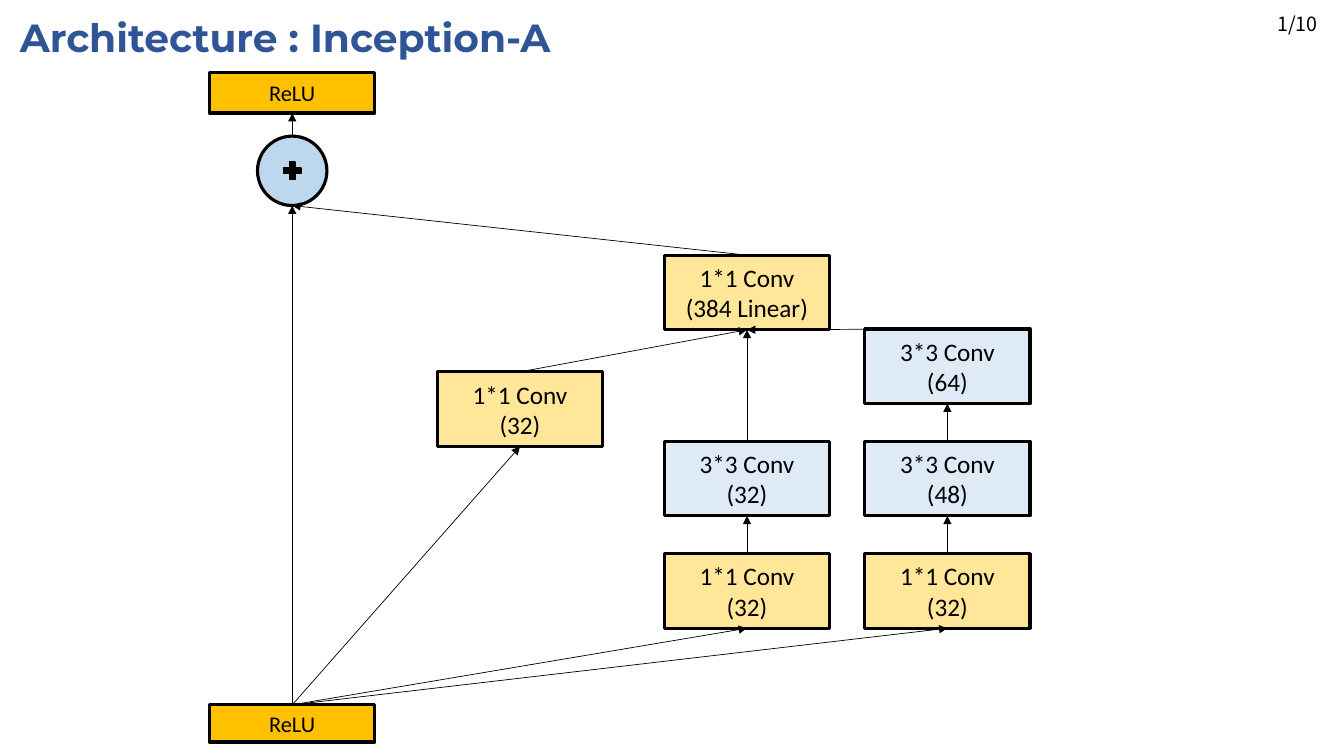
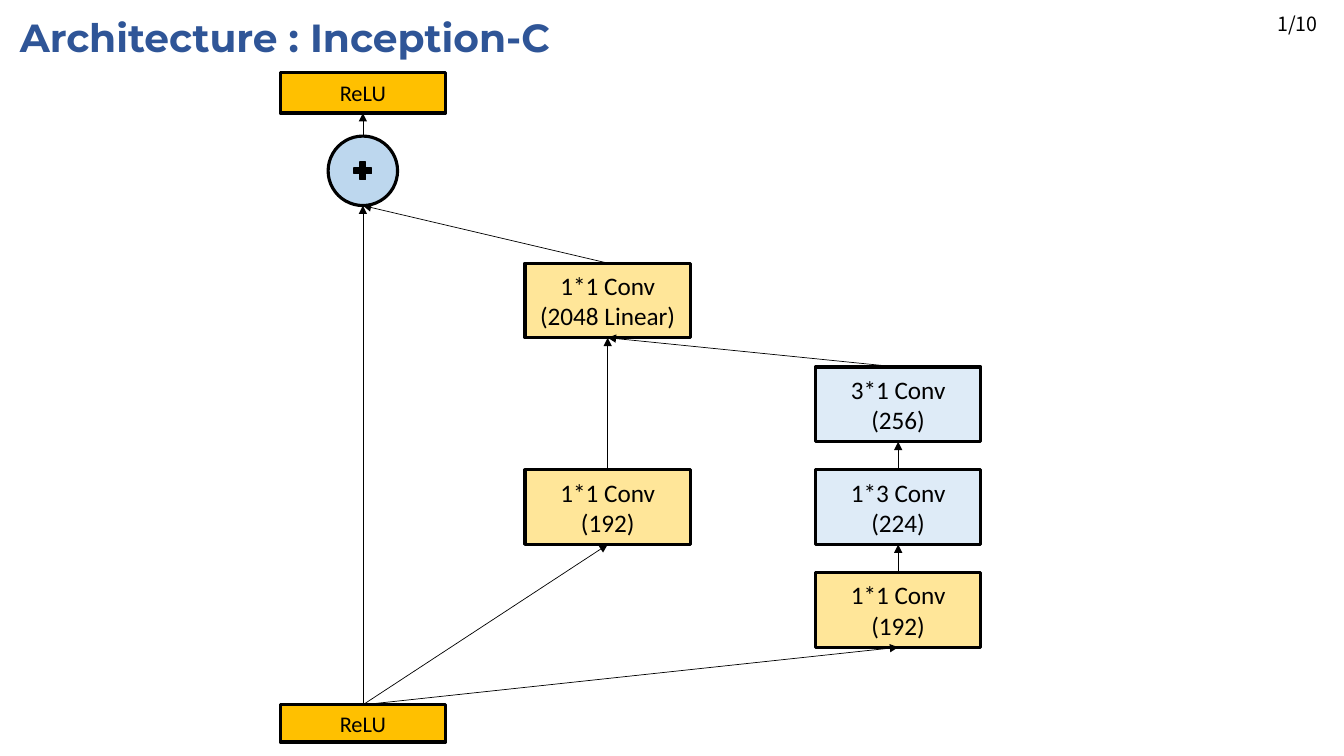
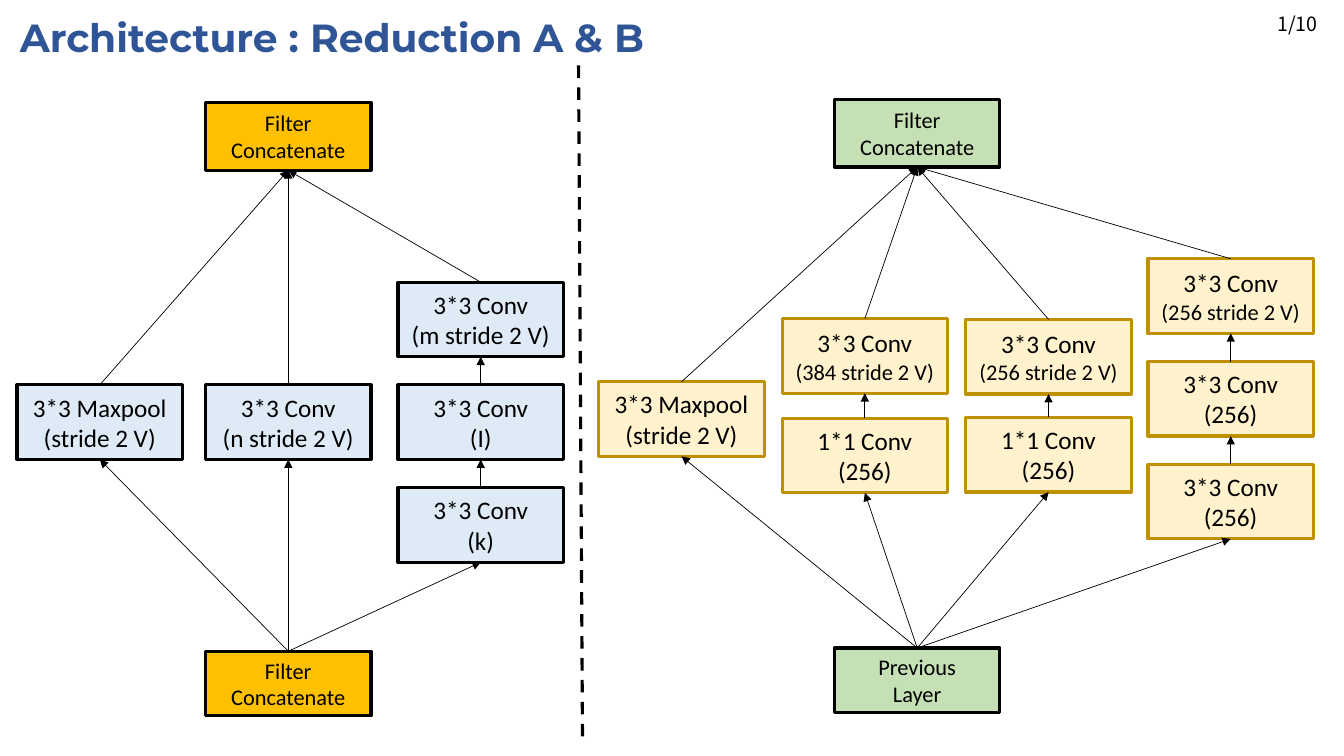
from dataclasses import dataclass
from itertools import pairwise

from lxml.etree import SubElement
from pptx import Presentation
from pptx.dml.color import RGBColor
from pptx.enum.dml import MSO_LINE_DASH_STYLE as Dash
from pptx.enum.shapes import MSO_CONNECTOR as Link, MSO_SHAPE as Preset
from pptx.enum.text import MSO_ANCHOR as Anchor, MSO_AUTO_SIZE as AutoSize, PP_ALIGN as Align
from pptx.oxml.ns import qn
from pptx.util import Cm, Pt


@dataclass(frozen=True)
class Theme:
    """Colours, fonts, type sizes, line weights and the common block size."""
    title: str = "2F5597"
    ink: str = "000000"
    amber: str = "FFC000"
    yellow: str = "FFE699"
    cream: str = "FFF2CC"
    gold: str = "BF9000"
    pale_blue: str = "DEEBF7"
    sky: str = "BDD7EE"
    green: str = "C5E0B4"
    title_font: str = "Montserrat"
    page_font: str = "Noto Sans CJK KR"
    block_font: str = "Calibri"
    title_size: int = 28
    page_size: int = 14
    block_size: int = 18
    small_size: int = 16
    outline: float = 2.25
    thin: float = 0.5
    block_width: float = 4.17
    block_height: float = 1.88
    long_label: int = 14


@dataclass(frozen=True)
class Box:
    """A region in centimetres."""
    left: float
    top: float
    width: float
    height: float

    def inner(self, x, y, width, height):
        """Return a box placed relative to this one."""
        return Box(self.left + x, self.top + y, width, height)

    def lengths(self):
        """Return the region as slide lengths."""
        return [Cm(v) for v in (self.left, self.top, self.width, self.height)]


@dataclass(frozen=True)
class Branch:
    """A column of blocks listed from the bottom up; y is the lowest block's top."""
    x: float
    y: float
    labels: tuple
    pitch: float = 2.59


THEME = Theme()
PAGE = Box(0, 0, 33.87, 19.05)


def assign(target, values):
    """Set each named attribute on the target."""
    for name, value in values.items():
        setattr(target, name, value)


def write(frame, lines, font, sizes, color, bold=False, **paragraph_format):
    """Write one paragraph per line in the given type."""
    for index, (line, size) in enumerate(zip(lines, sizes)):
        paragraph = frame.paragraphs[0] if index == 0 else frame.add_paragraph()
        assign(paragraph, paragraph_format)
        run = paragraph.add_run()
        run.text = line
        assign(run.font, {"name": font, "size": Pt(size), "bold": bold})
        run.font.color.rgb = RGBColor.from_string(color)


def draw_shape(slide, preset, box, fill, line=THEME.ink, weight=THEME.outline):
    """Add a flat outlined shape."""
    shape = slide.shapes.add_shape(preset, *box.lengths())
    shape.shadow.inherit = False
    shape.fill.solid()
    shape.fill.fore_color.rgb = RGBColor.from_string(fill)
    shape.line.color.rgb = RGBColor.from_string(line)
    shape.line.width = Pt(weight)
    return shape


def draw_block(slide, box, label, fill, line=THEME.ink, size=THEME.block_size):
    """Add a labelled block, shrinking long label lines."""
    block = draw_shape(slide, Preset.RECTANGLE, box, fill, line)
    assign(block.text_frame, {"vertical_anchor": Anchor.MIDDLE, "word_wrap": True})
    lines = label.split("\n")
    sizes = [THEME.small_size if len(text) > THEME.long_label else size for text in lines]
    write(block.text_frame, lines, THEME.block_font, sizes, THEME.ink, alignment=Align.CENTER)
    return block


def draw_line(slide, start, end, weight):
    """Add a plain straight line between two points."""
    line = slide.shapes.add_connector(Link.STRAIGHT, *start, *end)
    line.line.color.rgb = RGBColor.from_string(THEME.ink)
    line.line.width = Pt(weight)
    SubElement(line._element.spPr, qn("a:effectLst"))
    return line


def draw_arrow(slide, lower, upper):
    """Point from the top of the lower shape to the bottom of the upper one."""
    start = lower.left + lower.width // 2, lower.top
    end = upper.left + upper.width // 2, upper.top + upper.height
    arrow = draw_line(slide, start, end, THEME.thin)
    if lower.auto_shape_type == Preset.RECTANGLE:
        arrow.begin_connect(lower, 0)
    if upper.auto_shape_type == Preset.RECTANGLE:
        arrow.end_connect(upper, 2)
    SubElement(arrow.line._get_or_add_ln(), qn("a:tailEnd"), type="triangle")


def draw_branches(slide, area, branches, source, target, colors):
    """Stack every branch and link it from the source to the target."""
    for branch in branches:
        column = []
        for level, label in enumerate(branch.labels):
            box = area.inner(branch.x, branch.y - level * branch.pitch,
                             THEME.block_width, THEME.block_height)
            column.append(draw_block(slide, box, label, *colors(label)))
        for lower, upper in pairwise([source, *column, target]):
            draw_arrow(slide, lower, upper)


def inception_colors(label):
    """Tell pointwise convolutions from the wider ones."""
    return (THEME.yellow if label.startswith("1*1") else THEME.pale_blue,)


def draw_inception(slide, area, projection_at, projection_label, branches):
    """Draw a residual block whose branches merge in a linear projection."""
    width, sum_size, plus_size = THEME.block_width, 1.75, 0.61
    relu_out = draw_block(slide, area.inner(0, 0, width, 1.02), "ReLU",
                          THEME.amber, size=THEME.small_size)
    relu_in = draw_block(slide, area.inner(0, area.height - 0.94, width, 0.94), "ReLU",
                         THEME.amber, size=THEME.small_size)
    sum_box = area.inner((width - sum_size) / 2, 1.6, sum_size, sum_size)
    residual_sum = draw_shape(slide, Preset.OVAL, sum_box, THEME.sky)
    inset = (sum_size - plus_size) / 2
    draw_shape(slide, Preset.MATH_PLUS, sum_box.inner(inset, inset, plus_size, plus_size),
               THEME.ink, weight=1)
    projection = draw_block(slide, area.inner(*projection_at, width, THEME.block_height),
                            projection_label, THEME.yellow)
    for lower, upper in ((residual_sum, relu_out), (relu_in, residual_sum),
                         (projection, residual_sum)):
        draw_arrow(slide, lower, upper)
    draw_branches(slide, area, branches, relu_in, projection, inception_colors)


def draw_reduction(slide, area, hub_x, source_label, hub_fill, block_colors, branches):
    """Draw parallel branches between a source and a filter concatenation."""
    width = THEME.block_width
    concat = draw_block(slide, area.inner(hub_x, 0, width, 1.7), "Filter\nConcatenate",
                        hub_fill, size=THEME.small_size)
    source = draw_block(slide, area.inner(hub_x, area.height - 1.63, width, 1.63),
                        source_label, hub_fill, size=THEME.small_size)
    draw_branches(slide, area, branches, source, concat, lambda label: block_colors)


def start_slide(deck, topic):
    """Add a blank slide with its title and page number."""
    slide = deck.slides.add_slide(deck.slide_layouts[6])
    title = slide.shapes.add_textbox(*PAGE.inner(0.25, 0.2, 31.47, 1.45).lengths()).text_frame
    assign(title, {"word_wrap": True, "auto_size": AutoSize.SHAPE_TO_FIT_TEXT})
    write(title, [f"Architecture : {topic}"], THEME.title_font, [THEME.title_size],
          THEME.title, bold=True)
    page = slide.shapes.add_textbox(*PAGE.inner(31.75, 0.13, 1.9, 0.89).lengths()).text_frame
    assign(page, {"word_wrap": True, "vertical_anchor": Anchor.BOTTOM})
    write(page, ["1/10"], THEME.page_font, [THEME.page_size], THEME.ink,
          alignment=Align.CENTER, line_spacing=0.9)
    return slide


def inception_a(deck):
    """Build the Inception-A slide."""
    draw_inception(
        start_slide(deck, "Inception-A"), PAGE.inner(5.28, 1.83, 20.68, 16.87),
        (11.46, 4.6), "1*1 Conv\n(384 Linear)",
        [Branch(5.74, 7.54, ("1*1 Conv\n(32)",)),
         Branch(11.46, 12.12, ("1*1 Conv\n(32)", "3*3 Conv\n(32)"), 2.83),
         Branch(16.51, 12.12, ("1*1 Conv\n(32)", "3*3 Conv\n(48)", "3*3 Conv\n(64)"), 2.83)])


def inception_c(deck):
    """Build the Inception-C slide."""
    draw_inception(
        start_slide(deck, "Inception-C"), PAGE.inner(7.06, 1.83, 17.66, 16.87),
        (6.17, 4.8), "1*1 Conv\n(2048 Linear)",
        [Branch(6.17, 10.01, ("1*1 Conv\n(192)",)),
         Branch(13.49, 12.6, ("1*1 Conv\n(192)", "1*3 Conv\n(224)", "3*1 Conv\n(256)"))])


def reductions(deck):
    """Build the slide comparing both reduction blocks."""
    slide = start_slide(deck, "Reduction A & B")
    maxpool = Branch(0, 7.11, ("3*3 Maxpool\n(stride 2 V)",))
    draw_reduction(
        slide, PAGE.inner(0.43, 2.59, 13.77, 15.45), 4.75, "Filter\nConcatenate",
        THEME.amber, (THEME.pale_blue,),
        [maxpool,
         Branch(4.75, 7.11, ("3*3 Conv\n(n stride 2 V)",)),
         Branch(9.6, 9.7, ("3*3 Conv\n(k)", "3*3 Conv\n(I)", "3*3 Conv\n(m stride 2 V)"))])
    draw_reduction(
        slide, PAGE.inner(15.09, 2.51, 18.01, 15.45), 5.94, "Previous\nLayer",
        THEME.green, (THEME.cream, THEME.gold),
        [maxpool,
         Branch(4.62, 8.03, ("1*1 Conv\n(256)", "3*3 Conv\n(384 stride 2 V)"), 2.51),
         Branch(9.25, 8.01, ("1*1 Conv\n(256)", "3*3 Conv\n(256 stride 2 V)"), 2.47),
         Branch(13.84, 9.19,
                ("3*3 Conv\n(256)", "3*3 Conv\n(256)", "3*3 Conv\n(256 stride 2 V)"))])
    divider = draw_line(slide, (Cm(14.58), Cm(1.65)), (Cm(14.68), Cm(18.69)), THEME.outline)
    divider.line.dash_style = Dash.DASH


def main():
    """Build and save the deck."""
    deck = Presentation()
    assign(deck, {"slide_width": Cm(PAGE.width), "slide_height": Cm(PAGE.height)})
    for build in (inception_a, inception_c, reductions):
        build(deck)
    deck.save("out.pptx")


if __name__ == "__main__":
    main()
